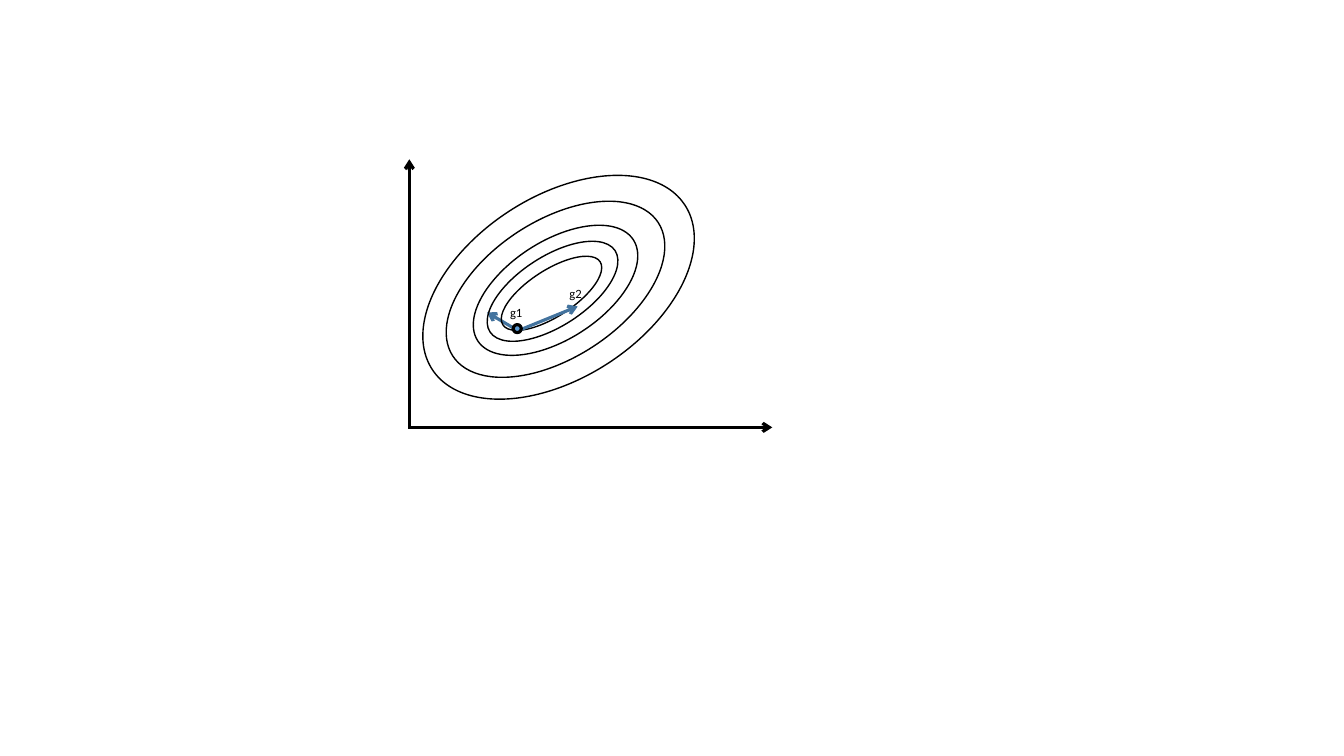
from lxml.etree import SubElement
from pptx import Presentation
from pptx.dml.color import RGBColor
from pptx.enum.shapes import MSO_CONNECTOR, MSO_SHAPE
from pptx.enum.text import MSO_AUTO_SIZE
from pptx.oxml.ns import qn
from pptx.util import Inches, Pt

BLACK, GRADIENT_BLUE, POINT_BLUE = "000000", "43739E", "5B9BD5"
TILT = 327
# Centre x, centre y (from the plot's top left), width, height
CONTOURS = [
    (1.42, 1.33, 1.15, 0.46),
    (1.43, 1.31, 1.48, 0.69),
    (1.46, 1.3, 1.84, 0.97),
    (1.46, 1.29, 2.43, 1.36),
    (1.49, 1.27, 2.99, 1.8),
]


def rgb(color):
    return RGBColor.from_string(color)


def add_arrow(slide, start, end, color):
    sp = slide.shapes.add_connector(
        MSO_CONNECTOR.STRAIGHT, *(Inches(v) for v in (*start, *end)))
    sp.line.color.rgb = rgb(color)
    sp.line.width = Pt(2.25)
    SubElement(sp.line._get_or_add_ln(), qn("a:tailEnd"), type="arrow")
    SubElement(sp._element.spPr, qn("a:effectLst"))


def add_ellipse(slide, cx, cy, width, height, weight, fill=None, rotation=0):
    sp = slide.shapes.add_shape(
        MSO_SHAPE.OVAL, Inches(cx - width / 2), Inches(cy - height / 2),
        Inches(width), Inches(height))
    sp.shadow.inherit = False
    sp.rotation = rotation
    if fill:
        sp.fill.solid()
        sp.fill.fore_color.rgb = rgb(fill)
    else:
        sp.fill.background()
    sp.line.color.rgb = rgb(BLACK)
    sp.line.width = Pt(weight)


def add_label(slide, text, left, top, width, wrap):
    sp = slide.shapes.add_textbox(
        Inches(left), Inches(top), Inches(width), Inches(0.26))
    tf = sp.text_frame
    tf.word_wrap = wrap
    tf.auto_size = MSO_AUTO_SIZE.SHAPE_TO_FIT_TEXT
    tf.text = text
    font = tf.paragraphs[0].runs[0].font
    font.name, font.size = "Calibri", Pt(9)
    font.color.rgb = rgb(BLACK)


def add_contour_plot(slide, left, top, width, height):
    """Draw axes, nested contours and the two gradients at one point."""
    bottom = top + height
    px, py = left + 1.08, top + 1.68

    add_arrow(slide, (px - 0.01, py + 0.01), (px - 0.3, py - 0.16), GRADIENT_BLUE)
    add_arrow(slide, (left + 0.01, bottom + 0.01), (left + 0.01, top), BLACK)
    add_arrow(slide, (left, bottom), (left + width, bottom), BLACK)
    for cx, cy, w, h in CONTOURS:
        add_ellipse(slide, left + cx, top + cy, w, h, 1, rotation=TILT)
    add_arrow(slide, (px + 0.01, py + 0.02), (px + 0.6, py - 0.22), GRADIENT_BLUE)
    add_ellipse(slide, px, py, 0.08, 0.08, 2.25, fill=POINT_BLUE)
    add_label(slide, "g1", px - 0.17, py - 0.28, 0.39, True)
    add_label(slide, "g2", px + 0.42, py - 0.47, 0.33, False)


def main():
    prs = Presentation()
    prs.slide_width, prs.slide_height = Inches(13.33), Inches(7.5)
    slide = prs.slides.add_slide(prs.slide_layouts[6])
    add_contour_plot(slide, 4.05, 1.58, 3.61, 2.66)
    prs.save("out.pptx")


if __name__ == "__main__":
    main()
